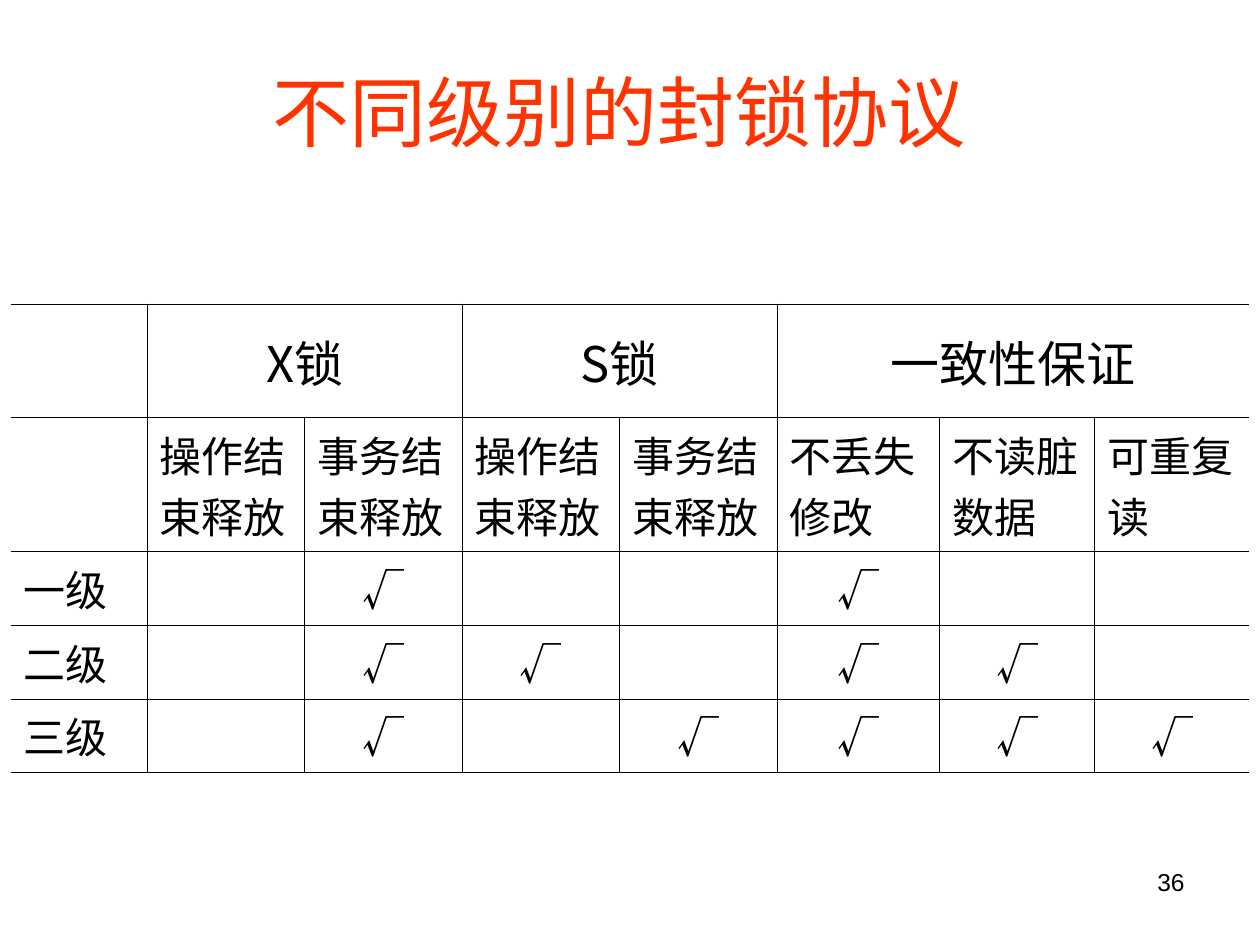
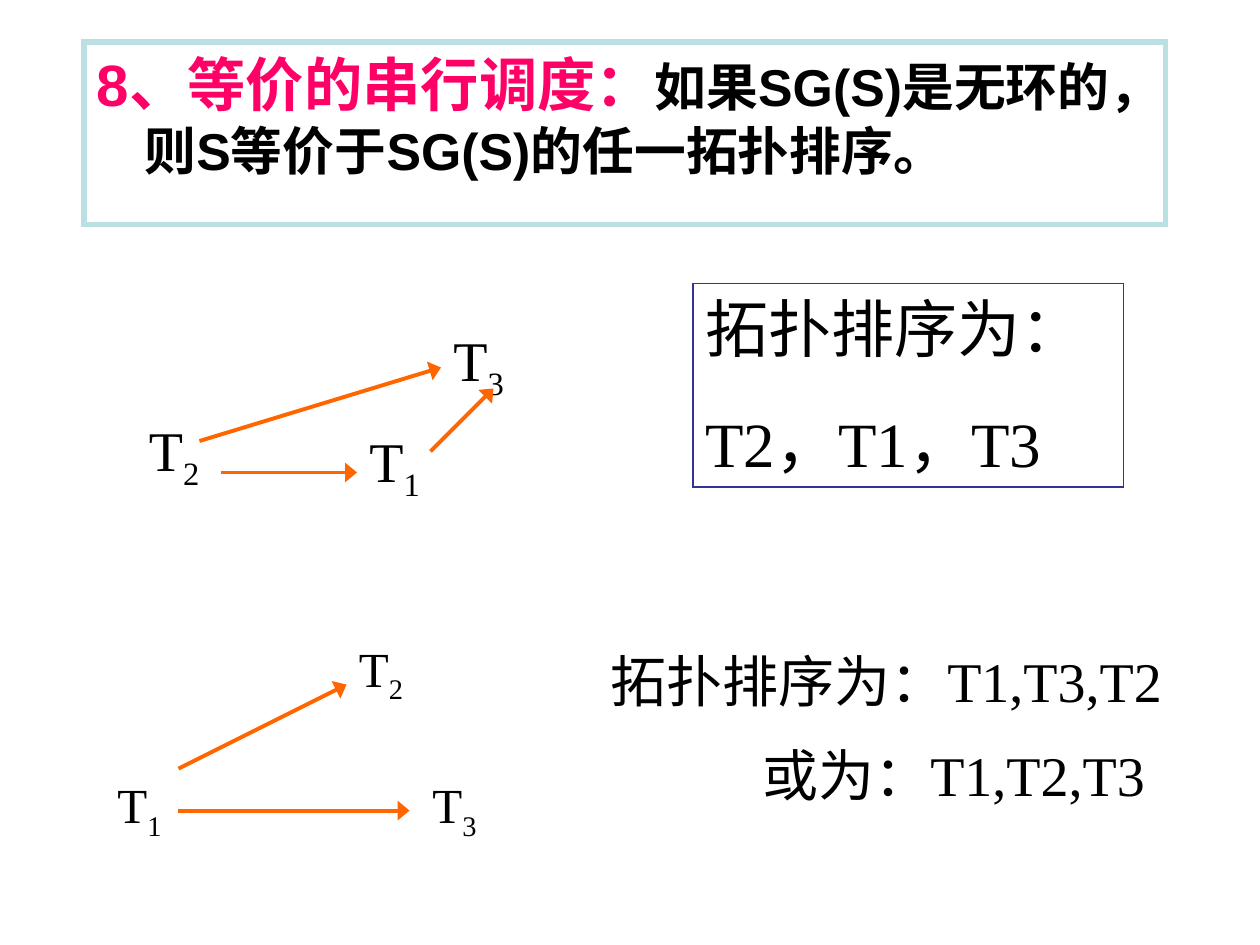
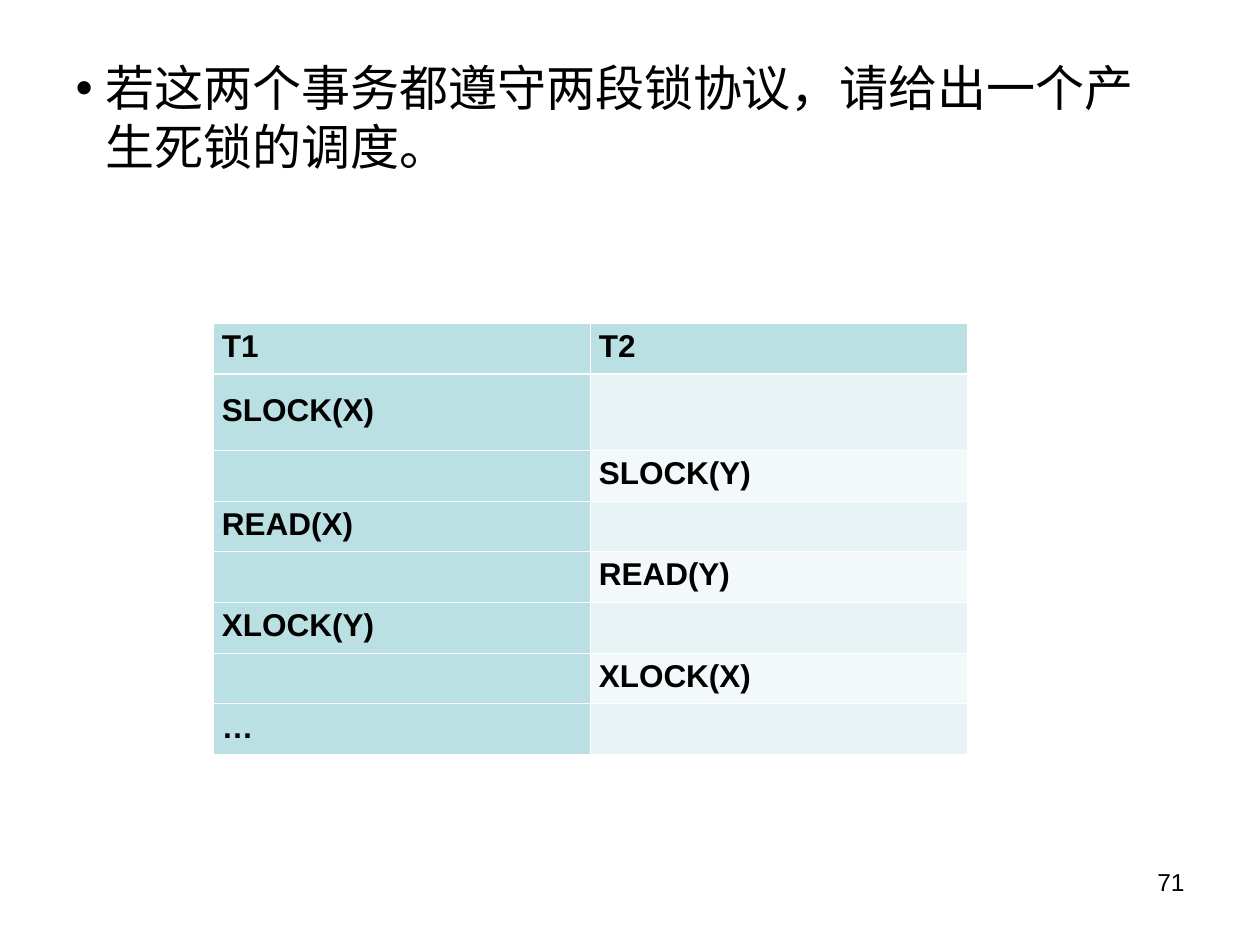
import dataclasses

import pptx
import pptx.dml.color
import pptx.enum.shapes
import pptx.enum.text
import pptx.oxml
import pptx.oxml.ns
import pptx.util

ALIGN = pptx.enum.text.PP_ALIGN
ANCHOR = pptx.enum.text.MSO_ANCHOR
qn = pptx.oxml.ns.qn


@dataclasses.dataclass(frozen=True)
class Theme:
    ink: str = "000000"
    paper: str = "FFFFFF"
    title: str = "FF3300"
    term: str = "FF0066"
    arrow: str = "FF6600"
    frame: str = "333399"
    teal: str = "BBE0E3"
    band_dark: str = "E7F3F4"
    band_light: str = "F3F9FA"
    sans: str = "Arial"
    serif: str = "Times New Roman"
    chinese: str = "Noto Sans CJK SC"
    title_size: float = 44
    term_size: float = 33.3
    statement_size: float = 29.6
    order_size: float = 36
    large: float = 32
    medium: float = 28
    cell: float = 24
    schedule: float = 18
    number: float = 14
    hairline: float = 0.45
    table_edge: float = 1.08
    header_rule: float = 1.47


THEME = Theme()
UNITS_PER_INCH = 12


def grid(units):
    return pptx.util.Inches(units / UNITS_PER_INCH)


def area(*units):
    return [grid(unit) for unit in units]


def rgb(color):
    return pptx.dml.color.RGBColor.from_string(color)


def child(parent, tag, **attributes):
    element = parent.makeelement(qn(tag), attributes)
    parent.append(element)
    return element


def style(font, size, face, color=THEME.ink, bold=False):
    font.size = pptx.util.Pt(size)
    font.bold = bold
    font.color.rgb = rgb(color)
    font.name = face
    east_asian = THEME.sans if face == THEME.serif else face
    child(font._rPr, "a:ea", typeface=east_asian)


def indent(paragraph, left, first=0.0):
    properties = paragraph._p.get_or_add_pPr()
    properties.set("marL", str(pptx.util.Inches(left)))
    properties.set("indent", str(pptx.util.Inches(first)))
    return properties


def place(shape, left, top, width, height):
    shape.left, shape.top, shape.width, shape.height = area(left, top, width, height)


def paint(shape, fill):
    shape.fill.solid()
    shape.fill.fore_color.rgb = rgb(fill)


def outline(shape, color, width):
    shape.line.color.rgb = rgb(color)
    shape.line.width = pptx.util.Pt(width)
    child(shape.line._get_or_add_ln(), "a:miter", lim="800000")


def fixed_frame(shape, anchor):
    frame = shape.text_frame
    frame.word_wrap = True
    frame.auto_size = pptx.enum.text.MSO_AUTO_SIZE.NONE
    frame.vertical_anchor = anchor
    return frame


def add_title(slide, text, box, align):
    place(slide.shapes.title, *box)
    paragraph = fixed_frame(slide.shapes.title, ANCHOR.MIDDLE).paragraphs[0]
    paragraph.text = text
    paragraph.alignment = align
    return paragraph


def add_heading(slide, text):
    paragraph = add_title(slide, text, (8, 3, 102, 15), ALIGN.CENTER)
    style(paragraph.font, THEME.title_size, THEME.sans, THEME.title)


def add_question(slide, text):
    paragraph = add_title(slide, text, (6, 4.8, 107, 12.6), ALIGN.LEFT)
    properties = indent(paragraph, 0.24, -0.24)
    child(properties, "a:buFont", typeface=THEME.sans)
    child(properties, "a:buChar", char="•")
    style(paragraph.font, THEME.medium, THEME.serif)


def add_statement(slide, term, statement):
    title, body = slide.placeholders
    title._element.getparent().remove(title._element)
    place(body, 8, 4, 103, 17.4)
    paint(body, THEME.paper)
    outline(body, THEME.teal, 3)
    frame = fixed_frame(body, ANCHOR.TOP)
    frame.margin_right = grid(3)
    paragraph = frame.paragraphs[0]
    child(indent(paragraph, 0.38, -0.38), "a:buNone")
    paragraph.space_before = pptx.util.Pt(0)
    paragraph.line_spacing = 1.0
    for text, size, color in ((term, THEME.term_size, THEME.term),
                              (statement, THEME.statement_size, THEME.ink)):
        run = paragraph.add_run()
        run.text = text
        style(run.font, size, THEME.sans, color, bold=True)


def add_page_number(slide, number):
    box = slide.shapes.add_textbox(*area(86, 82, 28, 6.2))
    paragraph = fixed_frame(box, ANCHOR.TOP).paragraphs[0]
    paragraph.text = number
    paragraph.alignment = ALIGN.RIGHT
    style(paragraph.font, THEME.number, THEME.sans)


def add_transaction(slide, index, left, top, size):
    box = slide.shapes.add_textbox(*area(left, top, 10, size * 0.27))
    paragraph = fixed_frame(box, ANCHOR.TOP).paragraphs[0]
    paragraph.add_run().text = "T"
    subscript = paragraph.add_run()
    subscript.text = index
    subscript._r.get_or_add_rPr().set("baseline", "-25000")
    style(paragraph.font, size, THEME.serif)


def add_dependency(slide, start, end):
    arrow = slide.shapes.add_connector(
        pptx.enum.shapes.MSO_CONNECTOR.STRAIGHT, *area(*start, *end))
    arrow.line.color.rgb = rgb(THEME.arrow)
    arrow.line.width = pptx.util.Pt(2.25)
    child(arrow.line._get_or_add_ln(), "a:tailEnd", type="triangle", w="lg", len="med")
    child(arrow._element.spPr, "a:effectLst")


def add_orders(slide, box, lines, size, gap, last_indent=0.0):
    panel = slide.shapes.add_textbox(*area(*box))
    paint(panel, THEME.paper)
    frame = fixed_frame(panel, ANCHOR.TOP)
    frame.text = "\n".join(lines)
    for paragraph in frame.paragraphs:
        style(paragraph.font, size, THEME.serif)
    last = frame.paragraphs[-1]
    indent(last, last_indent)
    last.space_before = pptx.util.Pt(gap)
    return panel


def set_borders(cell, color, **widths):
    properties = cell._tc.get_or_add_tcPr()
    for side in "LRTB":
        width = widths[side]
        edge = child(properties, "a:ln" + side, w=str(pptx.util.Pt(width)))
        if width:
            child(child(edge, "a:solidFill"), "a:srgbClr", val=color)
        else:
            child(edge, "a:noFill")


def add_table(slide, left, top, widths, heights):
    table = slide.shapes.add_table(
        len(heights), len(widths),
        *area(left, top, sum(widths), sum(heights))).table
    table.first_row = table.horz_banding = False
    for column, width in zip(table.columns, widths):
        column.width = grid(width)
    for row, height in zip(table.rows, heights):
        row.height = grid(height)
    return table


def add_lock_levels(slide, groups, headings, levels):
    table = add_table(slide, 1, 29, [13] + [15] * 4 + [15.5, 14.75, 14.75],
                      [10.75, 12.75] + [7] * 3)
    last_row, last_column = len(table.rows) - 1, len(table.columns) - 1
    top_row = [""] * (last_column + 1)
    start = 1
    for group, span in groups:
        top_row[start] = group
        table.cell(0, start).merge(table.cell(0, start + span - 1))
        start += span
    level_rows = [[level] + ["√" if heading in marks else ""
                             for heading in range(1, last_column + 1)]
                  for level, marks in levels]
    for row, texts in enumerate([top_row, [""] + headings] + level_rows):
        for column, text in enumerate(texts):
            cell = table.cell(row, column)
            span = cell.span_width if cell.is_merge_origin else 1
            set_borders(cell, THEME.ink,
                        L=THEME.hairline if column else 0,
                        R=THEME.hairline if column + span <= last_column else 0,
                        T=THEME.hairline if row else THEME.table_edge,
                        B=THEME.hairline if row < last_row else THEME.table_edge)
            cell.fill.background()
            cell.vertical_anchor = ANCHOR.TOP if row else ANCHOR.MIDDLE
            paragraph = cell.text_frame.paragraphs[0]
            paragraph.text = text
            centred = row == 0 or text == "√"
            paragraph.alignment = ALIGN.CENTER if centred else ALIGN.LEFT
            style(paragraph.font, THEME.cell if row else THEME.medium, THEME.chinese)


def add_schedule(slide, transactions, steps):
    table = add_table(slide, 20.3, 30.8, [35.9] * 2,
                      [4.83, 7.25] + [4.83] * (len(steps) - 1))
    rows = [transactions] + [
        [step, ""] if turn % 2 == 0 else ["", step]
        for turn, step in enumerate(steps)]
    for row, texts in enumerate(rows):
        band = THEME.band_dark if row % 2 else THEME.band_light
        for column, text in enumerate(texts):
            cell = table.cell(row, column)
            set_borders(cell, THEME.paper, L=THEME.hairline, R=THEME.hairline,
                        T=THEME.header_rule if row == 1 else THEME.hairline,
                        B=THEME.header_rule if row == 0 else THEME.hairline)
            paint(cell, band if row and column else THEME.teal)
            cell.vertical_anchor = ANCHOR.MIDDLE
            cell.margin_left = cell.margin_right = pptx.util.Inches(0.07)
            paragraph = cell.text_frame.paragraphs[0]
            paragraph.text = text
            paragraph.line_spacing = pptx.util.Pt(THEME.schedule)
            style(paragraph.font, THEME.schedule, THEME.sans, bold=True)


def add_lock_slide(slide):
    add_page_number(slide, "36")
    add_heading(slide, "不同级别的封锁协议")
    releases = ["操作结束释放", "事务结束释放"]
    add_lock_levels(
        slide,
        [("X锁", 2), ("S锁", 2), ("一致性保证", 3)],
        releases * 2 + ["不丢失修改", "不读脏数据", "可重复读"],
        [("一级", {2, 5}), ("二级", {2, 3, 5, 6}), ("三级", {2, 4, 5, 6, 7})])


def add_order_slide(slide):
    add_statement(slide, "8、等价的串行调度：",
                  "如果SG(S)是无环的，则S等价于SG(S)的任一拓扑排序。")
    for index, left, top, size in (
            ("2", 13, 39, THEME.large), ("1", 34, 40, THEME.large),
            ("3", 42, 30.4, THEME.large), ("1", 10, 73.2, THEME.medium),
            ("2", 33, 60.2, THEME.medium), ("3", 40, 73.2, THEME.medium)):
        add_transaction(slide, index, left, top, size)
    only_order = add_orders(slide, (66, 27, 41, 19.4), ["拓扑排序为：", "T2，T1，T3"],
                            THEME.order_size, 22.5)
    outline(only_order, THEME.frame, 0.75)
    add_orders(slide, (57, 61, 56, 29), ["拓扑排序为：T1,T3,T2", "或为：T1,T2,T3"],
               THEME.large, 15, last_indent=1.2)
    for start, end in (((21, 45), (34, 45)), ((41, 43), (47, 37)),
                       ((19, 42), (42, 35)), ((17, 73.2), (33, 65.2)),
                       ((17, 77.2), (39, 77.2))):
        add_dependency(slide, start, end)


def add_deadlock_slide(slide):
    add_page_number(slide, "71")
    add_schedule(slide, ["T1", "T2"],
                 ["SLOCK(X)", "SLOCK(Y)", "READ(X)", "READ(Y)",
                  "XLOCK(Y)", "XLOCK(X)", "…"])
    add_question(slide, "若这两个事务都遵守两段锁协议，请给出一个产生死锁的调度。")


def main():
    deck = pptx.Presentation()
    deck.slide_width, deck.slide_height = area(120, 90)
    content, title_only = deck.slide_layouts[1], deck.slide_layouts[5]
    for layout, fill_slide in ((title_only, add_lock_slide),
                               (content, add_order_slide),
                               (title_only, add_deadlock_slide)):
        fill_slide(deck.slides.add_slide(layout))
    deck.save("out.pptx")


if __name__ == "__main__":
    main()
